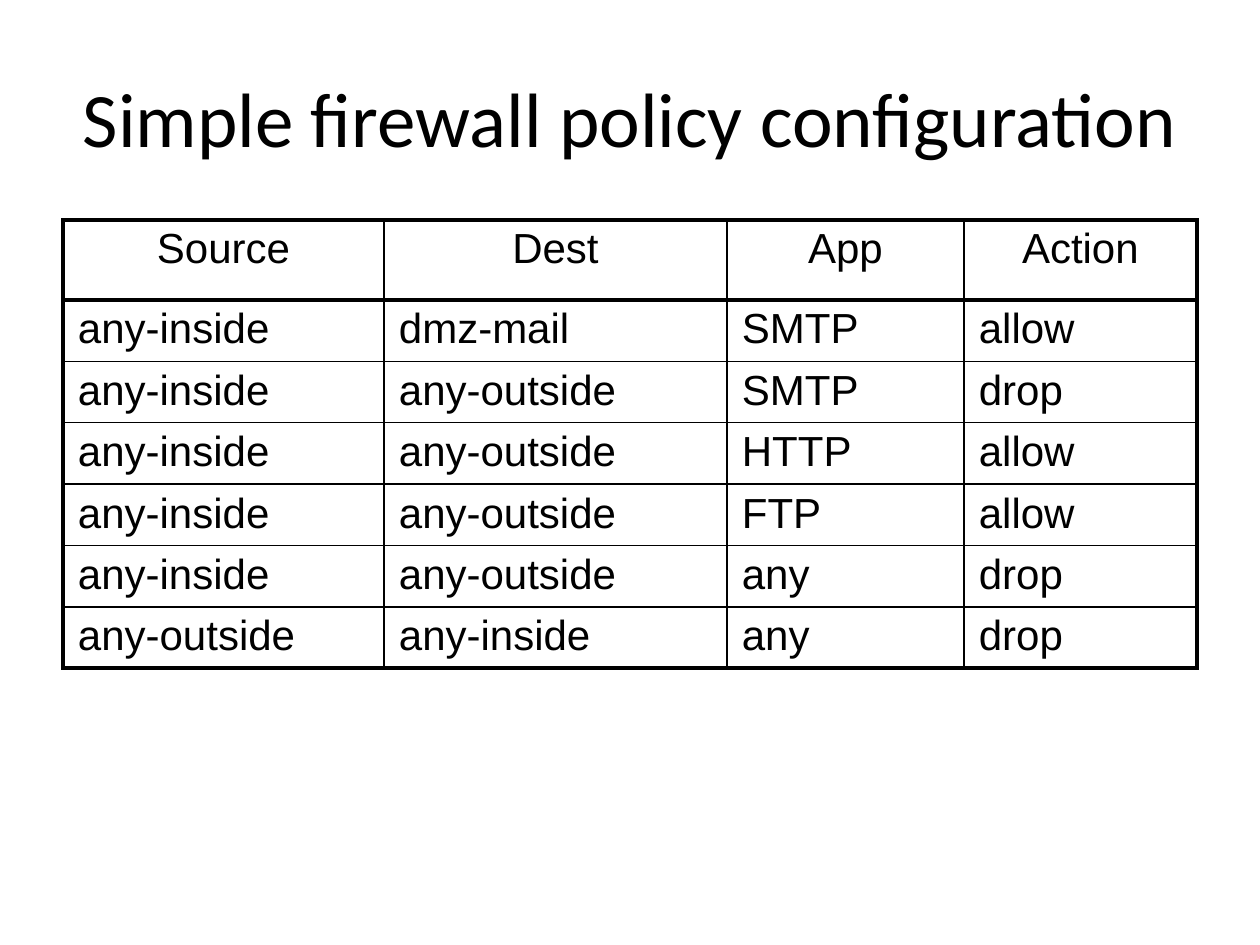
from pptx import Presentation
from pptx import util as u
from pptx.dml.color import RGBColor
from pptx.enum import text
from pptx.oxml import parse_xml
from pptx.oxml.ns import nsdecls

SCALE = u.Inches(1) // 126


def px(n):
    return u.Emu(n * SCALE)


def color(code):
    return RGBColor.from_string(code)


class Page:
    ink = "000000"
    thin, thick = 1, 2.25

    def __init__(self, deck):
        self.slide = deck.slides.add_slide(deck.slide_layouts[6])

    def style(self, para, words, font, size, align):
        para.text = words
        para.alignment = align
        para.font.name = font
        para.font.size = u.Pt(size)
        para.font.color.rgb = color(self.ink)

    def title(self, words, box):
        frame = self.slide.shapes.add_textbox(*map(px, box)).text_frame
        frame.word_wrap = True
        frame.vertical_anchor = text.MSO_ANCHOR.MIDDLE
        self.style(frame.paragraphs[0], words, "Calibri", 44, text.PP_ALIGN.CENTER)

    def border(self, cell, side, width):
        cell._tc.get_or_add_tcPr().append(parse_xml(
            f'<a:{side} {nsdecls("a")} w="{u.Pt(width)}"><a:solidFill>'
            f'<a:srgbClr val="{self.ink}"/></a:solidFill></a:{side}>'))

    def table(self, rows, left, top, widths, heights):
        box = left, top, sum(widths), sum(heights)
        grid = self.slide.shapes.add_table(
            len(rows), len(widths), *map(px, box)).table
        grid.horz_banding = False
        for col, width in zip(grid.columns, widths):
            col.width = px(width)
        for row, height in zip(grid.rows, heights):
            row.height = px(height)
        for r, row in enumerate(rows):
            for c, words in enumerate(row):
                cell = grid.cell(r, c)
                cell.margin_left = cell.margin_right = px(15)
                cell.margin_top, cell.margin_bottom = px(6), px(5)
                align = text.PP_ALIGN.LEFT if r else text.PP_ALIGN.CENTER
                self.style(cell.text_frame.paragraphs[0], words, "Arial", 24, align)
                # Thick lines frame the table and close the header
                heavy = {"lnL": c == 0, "lnR": c == len(row) - 1,
                         "lnT": r < 2, "lnB": r in (0, len(rows) - 1)}
                for side, bold in heavy.items():
                    self.border(cell, side, self.thick if bold else self.thin)
                cell.fill.background()


deck = Presentation()
deck.slide_width, deck.slide_height = px(1260), px(945)
page = Page(deck)

# Title
page.title("Simple firewall policy configuration", (63, 38, 1134, 157))

# Firewall rules
rules = [
    ("Source", "Dest", "App", "Action"),
    ("any-inside", "dmz-mail", "SMTP", "allow"),
    ("any-inside", "any-outside", "SMTP", "drop"),
    ("any-inside", "any-outside", "HTTP", "allow"),
    ("any-inside", "any-outside", "FTP", "allow"),
    ("any-inside", "any-outside", "any", "drop"),
    ("any-outside", "any-inside", "any", "drop"),
]
page.table(rules, 63, 220, (321, 343, 237, 233), [80] + [59] * 6)

deck.save("out.pptx")
